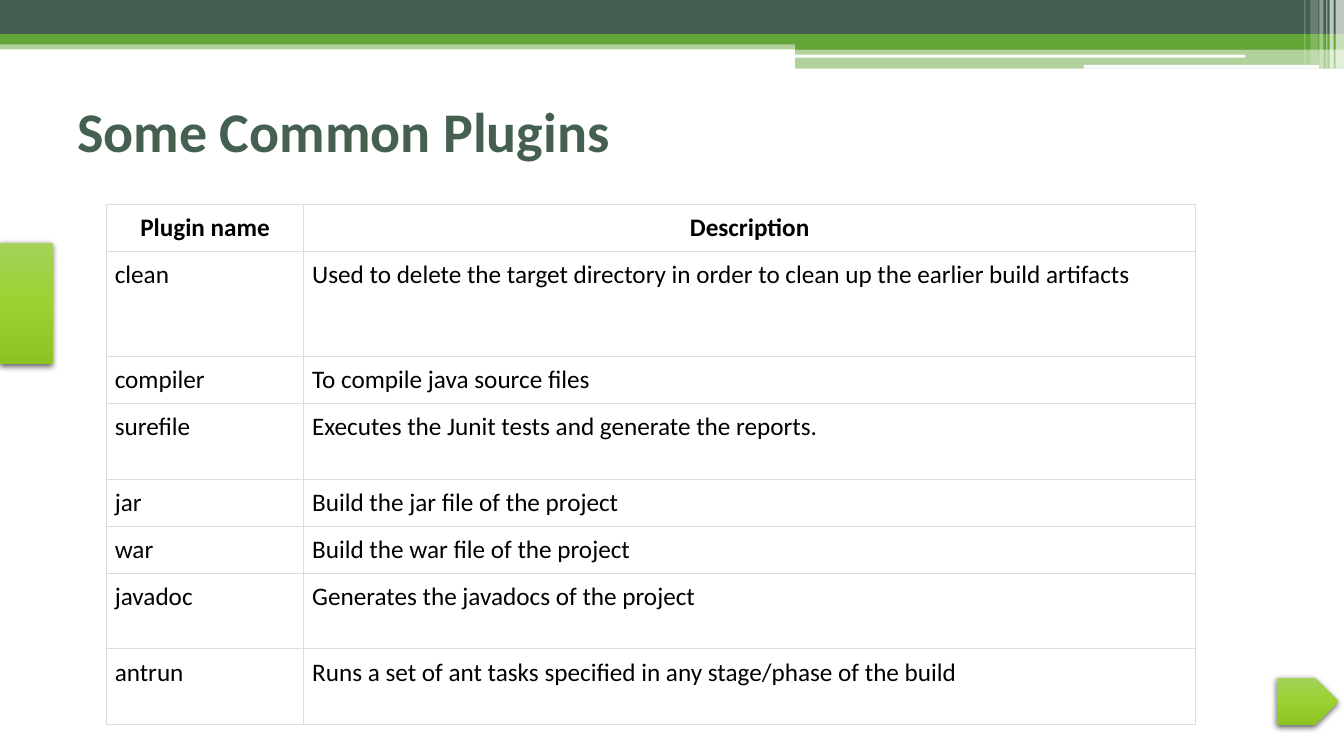
from pptx import Presentation
from pptx.dml.color import RGBColor
from pptx.enum.shapes import MSO_SHAPE as Shape
from pptx.enum.text import MSO_ANCHOR as Anchor, PP_ALIGN as Align
from pptx.oxml import parse_xml
from pptx.oxml.ns import nsdecls
from pptx.util import Pt

# Content
TITLE = "Some Common Plugins"
HEADER = ("Plugin name", "Description")
PLUGINS = [
    ("clean", "Used to delete the target directory in order to clean up the earlier build artifacts"),
    ("compiler", "To compile java source files"),
    ("surefile", "Executes the Junit tests and generate the reports."),
    ("jar", "Build the jar file of the project"),
    ("war", "Build the war file of the project"),
    ("javadoc", "Generates the javadocs of the project"),
    ("antrun", "Runs a set of ant tasks specified in any stage/phase of the build"),
]

# Style
FONT = "Calibri"
COLORS = {
    "dark": "455F51", "green": "63A537", "white": "FFFFFF", "text": "000000", "border": "DDDDDD",
    "light_tab": "A4D25A", "mid_tab": "9BD231", "deep_tab": "8DC323",
}
WIDTH, HEIGHT = 960, 540
ROW_HEIGHTS = [33.5, 75, 33.5, 54, 33.5, 33.5, 54, 54]
COLUMN_WIDTHS = [141, 637]

# Banner: left, top, width, height, colour, opacity in percent
BANDS = [
    (0, 28.8, WIDTH, 6.5, "green", 50),
    (0, 0, WIDTH, 24.5, "dark", 100),
    (0, 24.5, WIDTH, 7.2, "green", 100),
    (568, 28, 392, 7.5, "green", 100),
    (568, 34.6, 392, 14.4, "green", 50),
]
SLITS = [(567.5, 39, 322, 2.2), (774, 46.3, 168, 2.7)]
# Stripes at the right end: left, width, height, opacity
STRIPES = [
    (954, 6, 49, 65), (949.7, 2.9, 49, 65), (947.5, 0.7, 49, 60),
    (942.5, 2.9, 49, 40), (936, 5.8, 46, 20), (931.7, 0.7, 46, 30),
]
# Green tabs: preset, left, top, width, height
TABS = [
    (Shape.RECTANGLE, 0, 173.5, 37.6, 86.4),
    (Shape.PENTAGON, 912, 484, 43.9, 33.8),
]


def add_block(page, preset, left, top, width, height):
    return page.shapes.add_shape(preset, Pt(left), Pt(top), Pt(width), Pt(height))


def add_band(page, preset, left, top, width, height, color, opacity=100):
    band = add_block(page, preset, left, top, width, height)
    band.shadow.inherit = False
    band.line.fill.background()
    band.fill.solid()
    band.fill.fore_color.rgb = RGBColor.from_string(COLORS[color])
    if opacity < 100:
        tint = band.fill._xPr.solidFill.srgbClr
        tint.append(parse_xml(f'<a:alpha {nsdecls("a")} val="{opacity * 1000}"/>'))


def add_tab(page, preset, left, top, width, height):
    tab = add_block(page, preset, left, top, width, height)
    names = ("light_tab", "mid_tab", "deep_tab")
    stops = "".join(
        f'<a:gs pos="{i * 50000}"><a:srgbClr val="{COLORS[name]}"/></a:gs>'
        for i, name in enumerate(names))
    for xml in (
        f'<a:gradFill {nsdecls("a")} rotWithShape="1"><a:gsLst>{stops}</a:gsLst>'
        '<a:lin ang="5400000" scaled="0"/></a:gradFill>',
        f'<a:ln {nsdecls("a")}><a:noFill/></a:ln>',
        f'<a:effectLst {nsdecls("a")}><a:outerShdw blurRad="{Pt(4.5)}" dist="{Pt(1.5)}" '
        f'dir="5400000" rotWithShape="0"><a:srgbClr val="{COLORS["text"]}">'
        '<a:alpha val="63000"/></a:srgbClr></a:outerShdw></a:effectLst>',
    ):
        tab._element.spPr.append(parse_xml(xml))


def style_text(para, size, color, bold):
    para.font.name = FONT
    para.font.size = Pt(size)
    para.font.bold = bold
    para.font.color.rgb = RGBColor.from_string(COLORS[color])


def fill_cell(cell, text, is_header):
    cell.margin_left = cell.margin_right = Pt(6)
    cell.margin_top = cell.margin_bottom = Pt(6)
    cell.text = text
    para = cell.text_frame.paragraphs[0]
    para.alignment = Align.CENTER if is_header else Align.LEFT
    style_text(para, 18, "text", is_header)
    properties = cell._tc.get_or_add_tcPr()
    for side in ("lnL", "lnR", "lnT", "lnB"):
        properties.append(parse_xml(
            f'<a:{side} {nsdecls("a")} w="{Pt(0.75)}"><a:solidFill>'
            f'<a:srgbClr val="{COLORS["border"]}"/></a:solidFill></a:{side}>'))
    cell.fill.solid()
    cell.fill.fore_color.rgb = RGBColor.from_string(COLORS["white"])


def add_plugin_table(page):
    rows = [HEADER] + PLUGINS
    table = page.shapes.add_table(
        len(rows), len(HEADER), Pt(76), Pt(146),
        Pt(sum(COLUMN_WIDTHS)), Pt(sum(ROW_HEIGHTS))).table
    table.horz_banding = False
    for column, width in zip(table.columns, COLUMN_WIDTHS):
        column.width = Pt(width)
    for r, (texts, height) in enumerate(zip(rows, ROW_HEIGHTS)):
        table.rows[r].height = Pt(height)
        for c, text in enumerate(texts):
            fill_cell(table.cell(r, c), text, r == 0)


def main():
    deck = Presentation()
    deck.slide_width, deck.slide_height = Pt(WIDTH), Pt(HEIGHT)
    page = deck.slides.add_slide(deck.slide_layouts[6])

    # Banner and side tabs
    for band in BANDS:
        add_band(page, Shape.RECTANGLE, *band)
    for slit in SLITS:
        add_band(page, Shape.ROUNDED_RECTANGLE, *slit, "white")
    for left, width, height, opacity in STRIPES:
        add_band(page, Shape.RECTANGLE, left, 0, width, height, "white", opacity)
    for tab in TABS:
        add_tab(page, *tab)

    # Title
    box = page.shapes.add_textbox(Pt(48), Pt(51), Pt(864), Pt(84))
    box.text_frame.word_wrap = True
    box.text_frame.vertical_anchor = Anchor.MIDDLE
    box.text_frame.text = TITLE
    style_text(box.text_frame.paragraphs[0], 40, "dark", True)

    add_plugin_table(page)
    deck.save("out.pptx")


if __name__ == "__main__":
    main()
